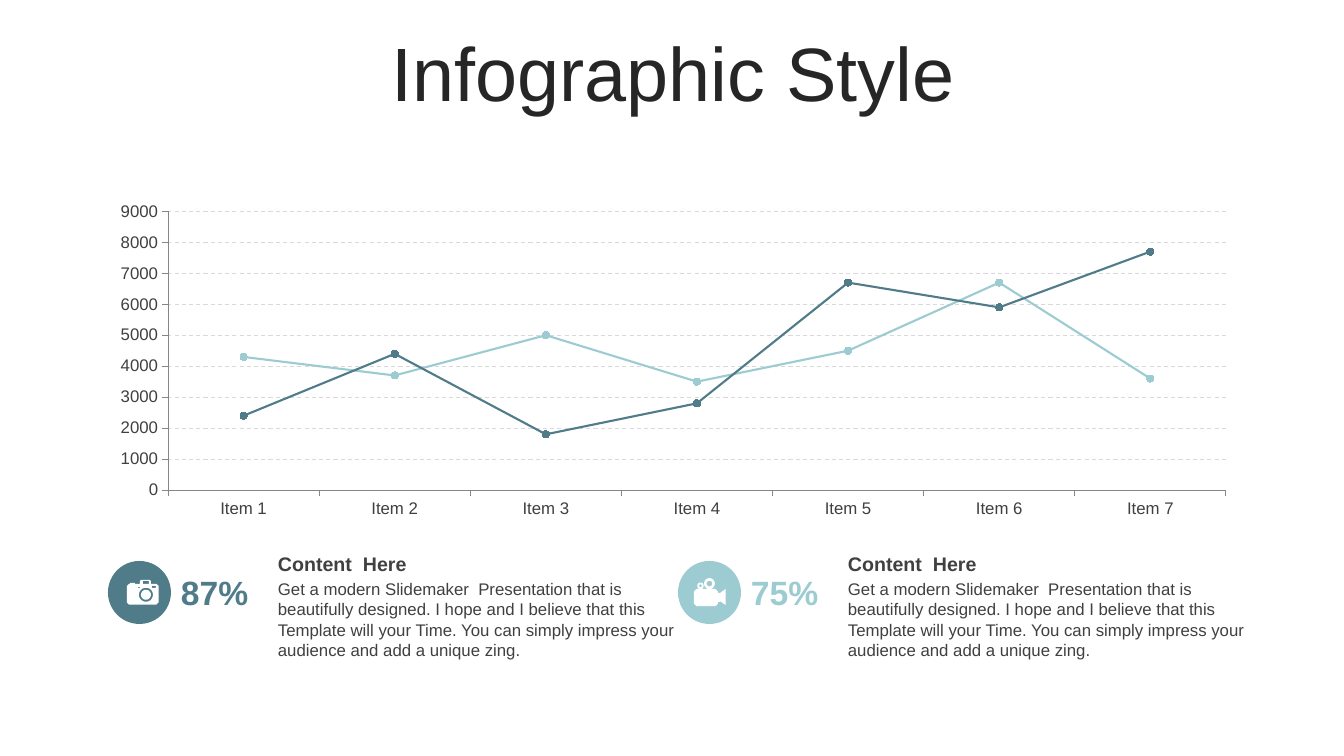
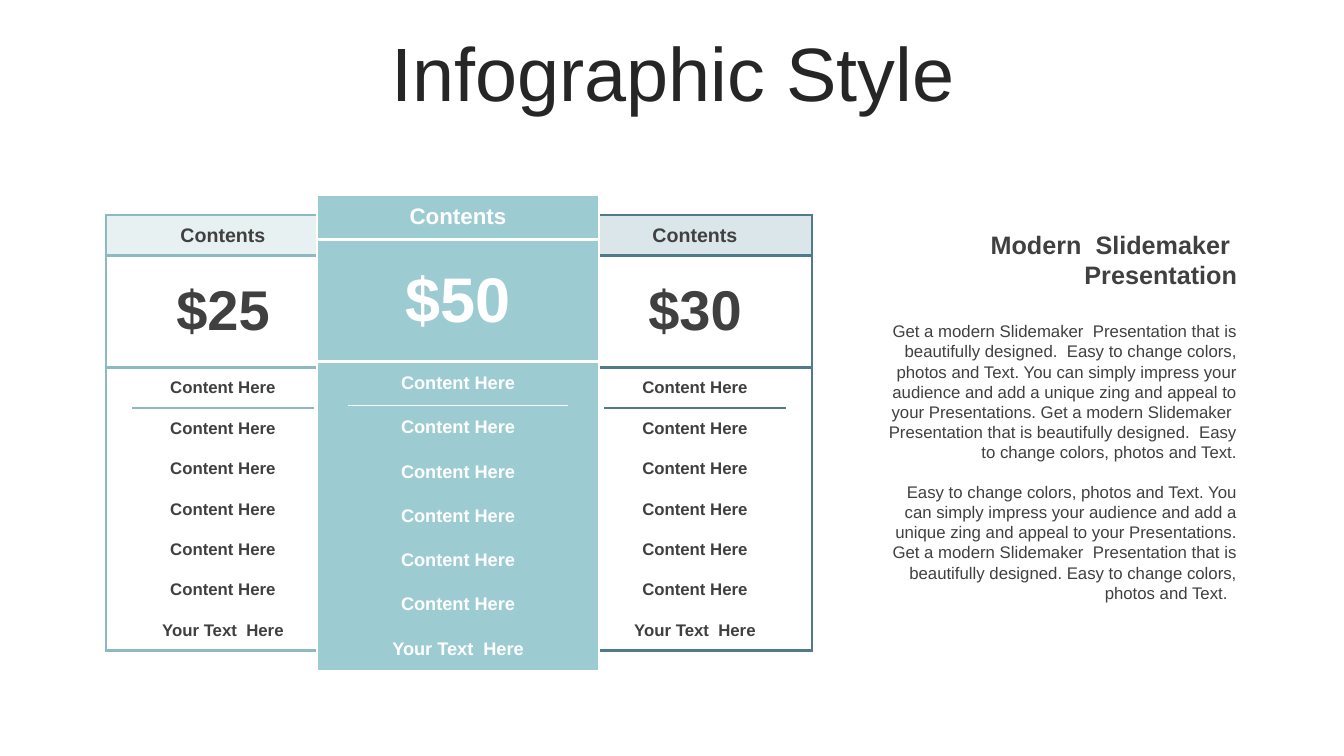
import math
from lxml import etree
from pptx import Presentation, util as u
from pptx.chart.data import CategoryChartData
from pptx.dml.color import RGBColor
from pptx.enum import chart as ch, dml, shapes, text
from pptx.oxml import parse_xml
from pptx.oxml.ns import nsdecls, qn

PX = 12192000 / 1344
FONT = "Arial"
COLORS = {
    "title": "262626",
    "text": "404040",
    "white": "FFFFFF",
    "dark": "507C89",
    "mid": "8CBABE",
    "light": "9CCCD2",
    "dark_tint": "DAE6E9",
    "mid_tint": "E8F1F2",
    "grid": "D9D9D9",
    "axis": "868686",
}
RGB = {name: RGBColor.from_string(value) for name, value in COLORS.items()}
ALIGN = text.PP_ALIGN
MIDDLE = text.MSO_ANCHOR.MIDDLE


def write(tf, lines, size, color, bold=False, align=ALIGN.LEFT, gap=0):
    for i, line in enumerate(lines):
        p = tf.paragraphs[0] if i == 0 else tf.add_paragraph()
        p.alignment = align
        if i and gap:
            p.space_before = u.Pt(gap)
        r = p.add_run()
        r.text = line
        r.font.name = FONT
        r.font.size = u.Pt(size)
        r.font.bold = bold
        r.font.color.rgb = RGB[color]


def add_text(s, box, lines, size, color, anchor=text.MSO_ANCHOR.TOP, **style):
    tf = s.shapes.add_textbox(*[round(n * PX) for n in box]).text_frame
    tf.word_wrap = True
    tf.vertical_anchor = anchor
    write(tf, lines, size, color, **style)


prs = Presentation()
prs.slide_width = round(1344 * PX)
prs.slide_height = round(756 * PX)
chart_slide, price_slide = [prs.slides.add_slide(prs.slide_layouts[5]) for _ in range(2)]

for s in prs.slides:
    title = s.shapes.title
    title.left, title.top, title.width, title.height = [round(n * PX) for n in (35, 37, 1276, 80)]
    tf = title.text_frame
    tf.auto_size = text.MSO_AUTO_SIZE.NONE
    tf.vertical_anchor = MIDDLE
    write(tf, ["Infographic Style"], 54, "title", align=ALIGN.CENTER)
    tf.paragraphs[0].line_spacing = 0.9
    tf.paragraphs[0].space_before = u.Pt(10)

s = chart_slide
data = CategoryChartData()
data.categories = [f"Item {n}" for n in range(1, 8)]
data.add_series("Series 1", (4300, 3700, 5000, 3500, 4500, 6700, 3600))
data.add_series("Series 2", (2400, 4400, 1800, 2800, 6700, 5900, 7700))
box = [round(n * PX) for n in (99, 195, 1150, 328)]
chart = s.shapes.add_chart(ch.XL_CHART_TYPE.LINE_MARKERS, *box, data).chart
chart.has_legend = False
chart.has_title = False
chart.font.name = FONT
chart.font.size = u.Pt(12)
chart.font.color.rgb = RGB["text"]
chart.plots[0].vary_by_categories = False

for axis in (chart.category_axis, chart.value_axis):
    axis.major_tick_mark = ch.XL_TICK_MARK.OUTSIDE
    axis.minor_tick_mark = ch.XL_TICK_MARK.NONE
    axis.format.line.color.rgb = RGB["axis"]
    axis.format.line.width = u.Pt(0.75)
axis = chart.value_axis
axis.minimum_scale, axis.maximum_scale, axis.major_unit = 0, 9000, 1000
axis.has_major_gridlines = True
line = axis.major_gridlines.format.line
line.color.rgb = RGB["grid"]
line.width = u.Pt(0.75)
line.dash_style = dml.MSO_LINE.DASH

for series, color in zip(chart.plots[0].series, ("light", "dark")):
    series.smooth = False
    series.format.line.color.rgb = RGB[color]
    series.format.line.width = u.Pt(1.5)
    marker = series.marker
    marker.style = ch.XL_MARKER_STYLE.CIRCLE
    marker.size = 5
    marker.format.fill.solid()
    marker.format.fill.fore_color.rgb = RGB[color]
    marker.format.line.color.rgb = RGB[color]

plot_area = chart._chartSpace.find(".//" + qn("c:plotArea"))
for old in plot_area.findall(qn("c:layout")):
    plot_area.remove(old)
plot_area.insert(0, parse_xml(
    f'<c:layout {nsdecls("c")}><c:manualLayout><c:layoutTarget val="inner"/>'
    '<c:xMode val="edge"/><c:yMode val="edge"/><c:x val="0.06"/><c:y val="0.05"/>'
    '<c:w val="0.92"/><c:h val="0.85"/></c:manualLayout></c:layout>'))

camera = [
    [(0, 60), (20, 40), (30, 40), (30, 30), (80, 30), (80, 40), (130, 40), (130, 10),
     (140, 0), (230, 0), (240, 10), (240, 40), (295, 40), (316, 60), (316, 225),
     (295, 246), (20, 246), (0, 225)],
    [(160, 10), (220, 10), (220, 40), (160, 40)],
    [(110, 70), (130, 70), (130, 80), (110, 80)],
    [(250, 60), (290, 60), (290, 80), (250, 80)],
]
movie_camera = [
    [(0, 135), (25, 110), (215, 110), (240, 135), (240, 150), (262, 150), (316, 110),
     (316, 270), (262, 232), (262, 240), (240, 240), (240, 257), (215, 282),
     (25, 282), (0, 257)],
]
rings = [
    (camera, 190, 148, (70, 50)),
    (movie_camera, 65, 78, (32, 14)),
    (movie_camera, 155, 56, (54, 28)),
]
for icon, cx, cy, radii in rings:
    for radius in radii:
        icon.append([(round(cx + radius * math.cos(math.radians(a))),
                      round(cy + radius * math.sin(math.radians(a))))
                     for a in range(0, 360, 10)])

blurb = ("Get a modern Slidemaker  Presentation that is beautifully designed. "
         "I hope and I believe that this Template will your Time. "
         "You can simply impress your audience and add a unique zing.")
facts = [
    ("87%", "dark", camera, 19, 19),
    ("75%", "light", movie_camera, 16, 17),
]
for i, (percent, color, icon, dx, dy) in enumerate(facts):
    x, y = 108 + 570 * i, 561
    add_text(s, (x + 160, 547, 435, 34), ["Content  Here"], 14, "text", MIDDLE, bold=True)
    add_text(s, (x + 160, 574, 435, 92), [blurb], 12, "text")
    add_text(s, (x + 63, 567, 89, 50), [percent], 24, color, MIDDLE, bold=True)
    disc = s.shapes.add_shape(shapes.MSO_SHAPE.OVAL, *[round(n * PX) for n in (x, y, 63, 63)])
    builder = s.shapes.build_freeform(*icon[0][0], scale=PX / 10)
    builder.add_line_segments(icon[0][1:])
    for contour in icon[1:]:
        builder.move_to(*contour[0])
        builder.add_line_segments(contour[1:])
    glyph = builder.convert_to_shape(round((x + dx) * PX), round((y + dy) * PX))
    for sp, fill in ((disc, color), (glyph, "white")):
        sp.shadow.inherit = False
        sp.fill.solid()
        sp.fill.fore_color.rgb = RGB[fill]
        sp.line.fill.background()

s = price_slide
plans = [
    dict(box=(578, 215, 234, 436), margin=26, price="$30", price_h=112, sizes=(14, 40, 12),
         line="dark", outer=2.25, head="dark_tint", fill="white", ink="text"),
    dict(box=(106, 215, 234, 436), margin=26, price="$25", price_h=112, sizes=(14, 40, 12),
         line="mid", outer=2.25, head="mid_tint", fill="white", ink="text"),
    dict(box=(317, 195, 282, 476), margin=31, price="$50", price_h=122, sizes=(16, 45, 13),
         line="white", outer=1.5, head="light", fill="light", ink="white"),
]
for plan in plans:
    labels = ["Contents", plan["price"]] + ["Content Here"] * 6 + ["Your Text  Here"]
    last = len(labels) - 1
    width, height = plan["box"][2:]
    row_h = (height - plan["price_h"]) / last
    box = [round(n * PX) for n in plan["box"]]
    table = s.shapes.add_table(len(labels), 3, *box).table
    table.first_row = False
    table.horz_banding = False
    style_id = table._tbl.tblPr.find(qn("a:tableStyleId"))
    style_id.text = "{2D5ABB26-0587-4C30-8999-92F81FD0307C}"
    for col, w in zip(table.columns, (plan["margin"], width - 2 * plan["margin"], plan["margin"])):
        col.width = round(w * PX)
    for i, label in enumerate(labels):
        table.rows[i].height = round((plan["price_h"] if i == 1 else row_h) * PX)
        merged = i in (0, 1, last)
        if merged:
            table.cell(i, 0).merge(table.cell(i, 2))
        for j in range(3):
            cell = table.cell(i, j)
            cell.margin_left = cell.margin_right = round(8 * PX)
            cell.margin_top = cell.margin_bottom = round(4 * PX)
            cell.vertical_anchor = MIDDLE
            cell.fill.solid()
            cell.fill.fore_color.rgb = RGB[plan["head" if i == 0 else "fill"]]
            if j == (0 if merged else 1):
                write(cell.text_frame, [label], plan["sizes"][min(i, 2)], plan["ink"],
                      bold=True, align=ALIGN.CENTER)
            edges = {}
            if j == 0:
                edges["lnL"] = plan["outer"]
            if j == 2 or merged and j == 0:
                edges["lnR"] = plan["outer"]
            if i < 2:
                edges["lnT"] = 2.25 if i else plan["outer"]
            elif i == 2 and j == 1:
                edges["lnT"] = 1.5
            if i in (0, last):
                edges["lnB"] = plan["outer"] if i else 2.25
            tc_pr = cell._tc.get_or_add_tcPr()
            for n, (tag, points) in enumerate(edges.items()):
                ln = etree.Element(qn("a:" + tag), w=str(u.Pt(points)))
                fill = etree.SubElement(ln, qn("a:solidFill"))
                etree.SubElement(fill, qn("a:srgbClr"), val=COLORS[plan["line"]])
                tc_pr.insert(n, ln)

add_text(s, (875, 224, 372, 72), ["Modern  Slidemaker  Presentation"], 18, "text",
         bold=True, align=ALIGN.RIGHT)
add_text(s, (875, 316, 372, 295), [
    "Get a modern Slidemaker  Presentation that is beautifully designed.  Easy to change colors, "
    "photos and Text. You can simply impress your audience and add a unique zing and appeal to "
    "your Presentations. Get a modern Slidemaker  Presentation that is beautifully designed.  "
    "Easy to change colors, photos and Text.",
    "Easy to change colors, photos and Text. You can simply impress your audience and add a "
    "unique zing and appeal to your Presentations. Get a modern Slidemaker  Presentation that is "
    "beautifully designed. Easy to change colors, photos and Text.  ",
], 12, "text", align=ALIGN.RIGHT, gap=14)

prs.save("out.pptx")
